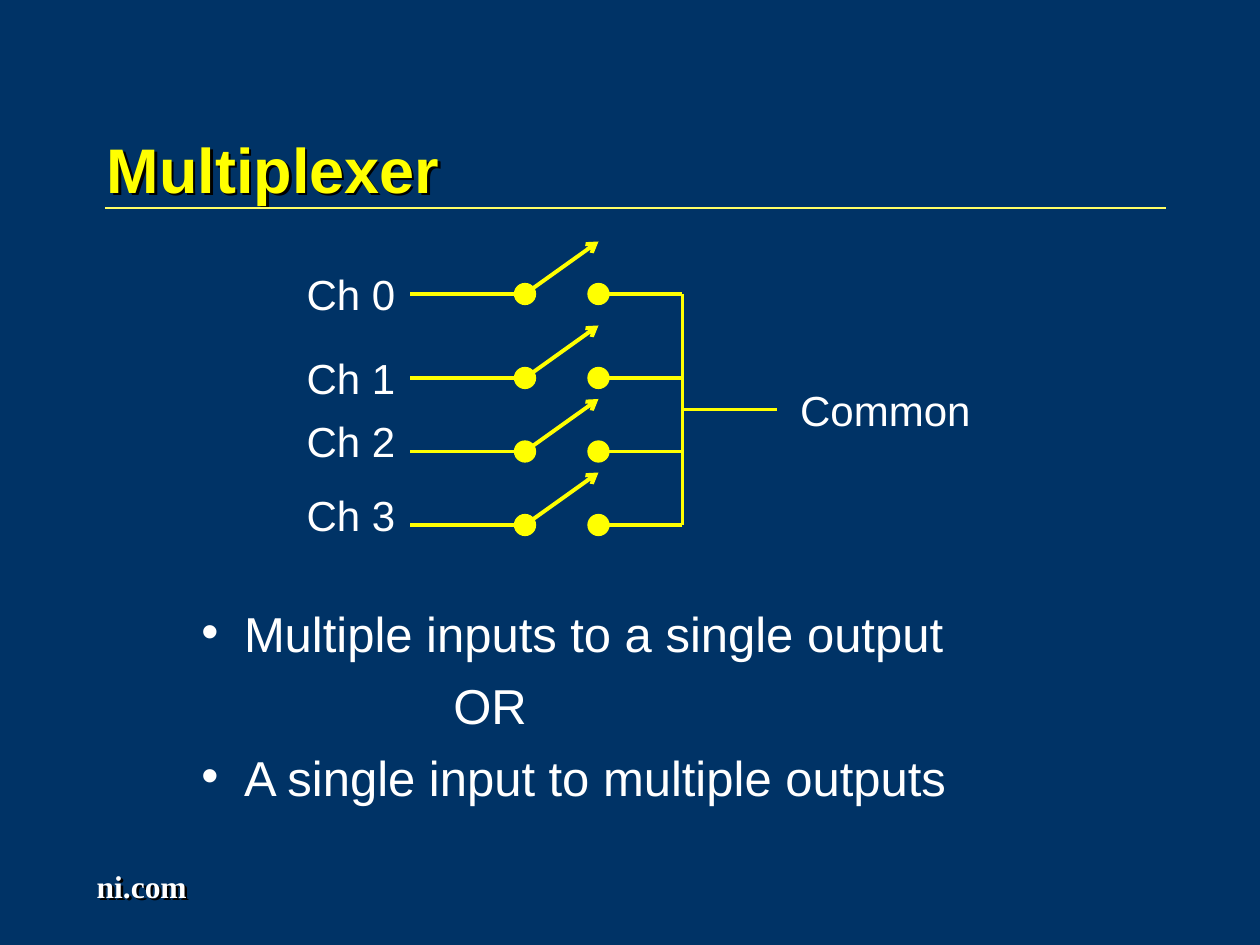
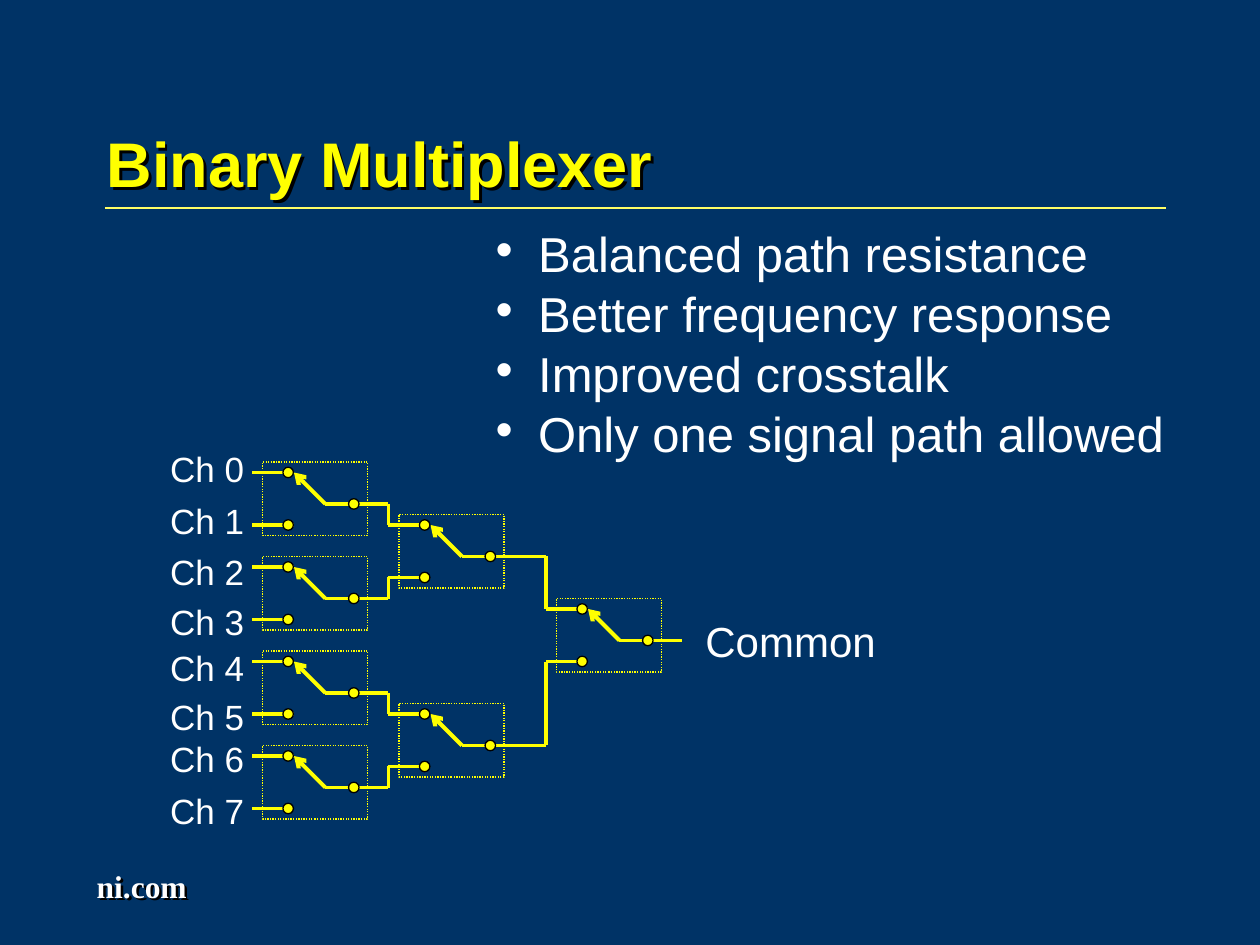
from dataclasses import dataclass

from lxml import etree
from pptx import Presentation
from pptx.dml.color import RGBColor
from pptx.enum.dml import MSO_LINE
from pptx.enum.shapes import MSO_CONNECTOR, MSO_SHAPE
from pptx.enum.text import MSO_ANCHOR, MSO_AUTO_SIZE, PP_ALIGN
from pptx.oxml.ns import qn
from pptx.util import Cm, Pt

NAVY = RGBColor(0x00, 0x33, 0x66)
YELLOW = RGBColor(0xFF, 0xFF, 0x00)
PALE_YELLOW = RGBColor(0xFF, 0xFF, 0x66)
WHITE = RGBColor(0xFF, 0xFF, 0xFF)
BLACK = RGBColor(0x00, 0x00, 0x00)

STRAIGHT = MSO_CONNECTOR.STRAIGHT
OVAL = MSO_SHAPE.OVAL
RECTANGLE = MSO_SHAPE.RECTANGLE
DOTTED = MSO_LINE.ROUND_DOT
LEFT = PP_ALIGN.LEFT
MIDDLE = MSO_ANCHOR.MIDDLE
NO_FIT = MSO_AUTO_SIZE.NONE

SANS = "Arial"
SERIF = "Times New Roman"
TITLE_ONLY = 5
BULLET_INDENT = Cm(0.86)


@dataclass(frozen=True)
class Frame:
    left: float
    top: float
    width: float
    height: float

    def cm(self) -> tuple:
        return Cm(self.left), Cm(self.top), Cm(self.width), Cm(self.height)


@dataclass(frozen=True)
class Item:
    text: str
    bullet: bool = True
    indent: int = BULLET_INDENT


@dataclass(frozen=True)
class Switch:
    left: float
    top: float
    out_x: float

    @property
    def contacts(self) -> tuple:
        return self.top + 1, self.top + 6

    @property
    def out_y(self) -> float:
        return self.top + 4


def grid(n: float) -> int:
    return Cm(2.54 * n / 12)


def style_run(r, size: float, color: RGBColor, font: str = SANS,
              bold: bool = False) -> None:
    r.font.name = font
    r.font.size = Pt(size)
    r.font.bold = bold
    r.font.color.rgb = color


def add_text_shadow(sp) -> None:
    effects = etree.SubElement(sp._element.spPr, qn("a:effectLst"))
    outer = etree.SubElement(effects, qn("a:outerShdw"), dist="25400",
                             dir="2700000", algn="ctr", rotWithShape="0")
    etree.SubElement(outer, qn("a:srgbClr"), val=str(BLACK))


def add_label(s, frame: Frame, text: str, size: float, **style):
    sp = s.shapes.add_textbox(*frame.cm())
    tf = sp.text_frame
    tf.word_wrap = True
    tf.text = text
    style_run(tf.paragraphs[0].runs[0], size, WHITE, **style)
    return sp


def add_list(s, frame: Frame, items: list[Item], spacing: float) -> None:
    tf = s.shapes.add_textbox(*frame.cm()).text_frame
    tf.word_wrap = True
    for i, item in enumerate(items):
        p = tf.add_paragraph() if i else tf.paragraphs[0]
        p.text = item.text
        p.line_spacing = spacing
        p.space_before = Pt(17.5 if i else 0)
        props = p._p.get_or_add_pPr()
        props.set("marL", str(item.indent))
        if item.bullet:
            props.set("indent", str(-item.indent))
            color = etree.SubElement(props, qn("a:buClr"))
            etree.SubElement(color, qn("a:srgbClr"), val=str(WHITE))
            etree.SubElement(props, qn("a:buFont"), typeface=SANS)
            etree.SubElement(props, qn("a:buChar"), char="•")
        style_run(p.runs[0], 28, WHITE)


def add_wire(s, x1: float, y1: float, x2: float, y2: float,
             arrow: bool = False, color: RGBColor = YELLOW,
             width: float = 2.25) -> None:
    wire = s.shapes.add_connector(STRAIGHT, grid(x1), grid(y1),
                                  grid(x2), grid(y2))
    wire.line.color.rgb = color
    wire.line.width = Pt(width)
    if arrow:
        etree.SubElement(wire.line._get_or_add_ln(), qn("a:tailEnd"),
                         type="arrow")
    etree.SubElement(wire._element.spPr, qn("a:effectLst"))


def add_dot(s, x: float, y: float, size: float, outline: RGBColor) -> None:
    dot = s.shapes.add_shape(OVAL, grid(x - size / 2), grid(y - size / 2),
                             grid(size), grid(size))
    dot.shadow.inherit = False
    dot.fill.solid()
    dot.fill.fore_color.rgb = YELLOW
    dot.line.color.rgb = outline
    dot.line.width = Pt(0.75)


def add_switch_box(s, switch: Switch) -> None:
    box = s.shapes.add_shape(RECTANGLE, grid(switch.left), grid(switch.top),
                             grid(10), grid(7))
    box.shadow.inherit = False
    box.fill.background()
    box.line.color.rgb = YELLOW
    box.line.width = Pt(0.75)
    box.line.dash_style = DOTTED


def add_switch_wires(s, switch: Switch) -> None:
    tip, pole = switch.left + 3, switch.left + 6
    add_wire(s, pole, switch.out_y, switch.out_x, switch.out_y)
    add_wire(s, pole, switch.out_y, tip, switch.contacts[0], arrow=True)
    for y in switch.contacts:
        add_wire(s, tip, y, switch.left - 1, y)


def add_switch_dots(s, switch: Switch) -> None:
    for y in switch.contacts:
        add_dot(s, switch.left + 2.45, y, 1, BLACK)
    add_dot(s, switch.left + 8.7, switch.out_y, 1, BLACK)


def add_titled_slide(prs, title: str, frame: Frame):
    s = prs.slides.add_slide(prs.slide_layouts[TITLE_ONLY])
    add_wire(s, 10, 19.8, 111, 19.8, color=PALE_YELLOW, width=1)
    footer = add_label(s, Frame(1.7, 17.35, 3.2, 1.02), "ni.com", 18,
                       font=SERIF, bold=True)
    add_text_shadow(footer)
    sp = s.shapes.title
    sp.left, sp.top, sp.width, sp.height = frame.cm()
    sp.fill.background()
    add_text_shadow(sp)
    tf = sp.text_frame
    tf.text = title
    tf.auto_size = NO_FIT
    tf.vertical_anchor = MIDDLE
    p = tf.paragraphs[0]
    p.alignment = LEFT
    style_run(p.runs[0], 36, YELLOW, bold=True)
    return s


def build_multiplexer(prs) -> None:
    s = add_titled_slide(prs, "Multiplexer", Frame(1.9, 2.12, 19.26, 2.54))
    input_x, pole_x, contact_x, bus_x = 39, 50, 57, 65
    channels = (28, 36, 43, 50)
    label_tops = (5.29, 6.99, 8.26, 9.74)
    for i, (y, top) in enumerate(zip(channels, label_tops)):
        add_wire(s, pole_x, y, input_x, y)
        add_wire(s, bus_x, y, contact_x, y)
        for x in (pole_x, contact_x):
            add_dot(s, x, y, 2, YELLOW)
        add_wire(s, pole_x, y, contact_x, y - 5, arrow=True)
        add_label(s, Frame(5.93, top, 2.75, 1.27), f"Ch {i}", 24)
    add_wire(s, bus_x, channels[0], bus_x, channels[-1])
    add_wire(s, bus_x, 39, 74, 39)
    add_label(s, Frame(15.88, 7.62, 4.87, 1.27), "Common", 24)
    add_list(s, Frame(3.81, 12.37, 16.51, 3.99), [
        Item("Multiple inputs to a single output"),
        Item("OR", bullet=False, indent=Cm(5.08)),
        Item("A single input to multiple outputs"),
    ], 0.7)


def build_binary_multiplexer(prs) -> None:
    s = add_titled_slide(prs, "Binary Multiplexer",
                         Frame(1.9, 1.69, 21.59, 3.18))
    stages = [
        [Switch(25, 44 + 9 * i, 37) for i in range(4)],
        [Switch(38, 49 + 18 * i, 52) for i in range(2)],
        [Switch(53, 57, 65)],
    ]
    switches = [switch for stage in stages for switch in stage]
    for draw in (add_switch_wires, add_switch_box):
        for switch in switches:
            draw(s, switch)
    for stage, following in zip(stages, stages[1:]):
        for i, switch in enumerate(stage):
            target_y = following[i // 2].contacts[i % 2]
            add_wire(s, switch.out_x, target_y, switch.out_x, switch.out_y)
    for switch in switches:
        add_switch_dots(s, switch)
    label_tops = (8.89, 9.95, 10.98, 11.98, 12.91, 13.89, 14.74, 15.79)
    for i, top in enumerate(label_tops):
        add_label(s, Frame(3.18, top, 2.34, 1.11), f"Ch {i}", 20)
    add_label(s, Frame(13.97, 12.28, 5.5, 1.27), "Common", 24)
    add_list(s, Frame(9.74, 4.9, 15.66, 4.5), [
        Item("Balanced path resistance"),
        Item("Better frequency response"),
        Item("Improved crosstalk"),
        Item("Only one signal path allowed"),
    ], 0.5)


def main() -> None:
    prs = Presentation()
    prs.slide_width, prs.slide_height = Cm(25.4), Cm(19.05)
    fill = prs.slide_master.background.fill
    fill.solid()
    fill.fore_color.rgb = NAVY
    build_multiplexer(prs)
    build_binary_multiplexer(prs)
    prs.save("out.pptx")


if __name__ == "__main__":
    main()
